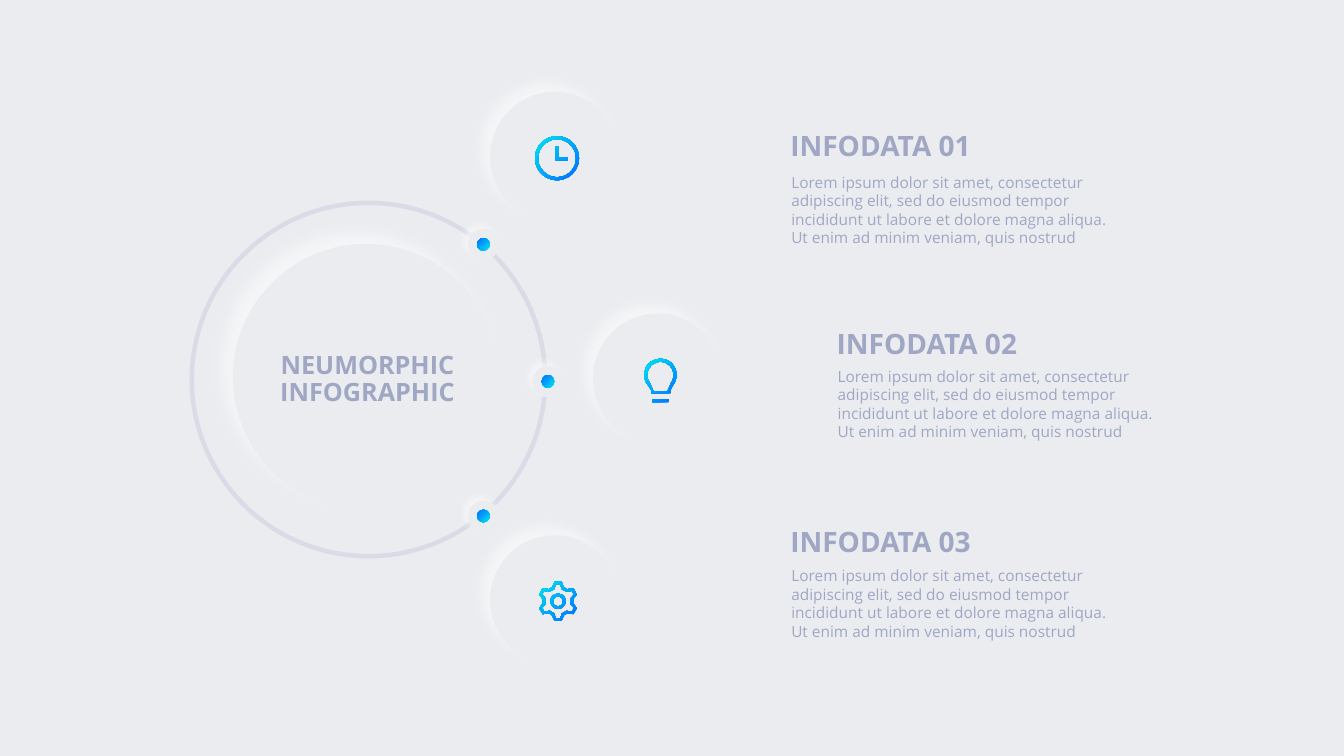
"""Build a soft-relief infographic slide: a hub, three icon nodes and their notes."""
import math

import lxml.etree
import pptx
import pptx.dml.color
import pptx.enum.shapes
import pptx.enum.text
import pptx.oxml.ns
import pptx.util

rgb = pptx.dml.color.RGBColor.from_string
form = pptx.enum.shapes.MSO_SHAPE
anchor = pptx.enum.text.MSO_ANCHOR
align = pptx.enum.text.PP_ALIGN
qn = pptx.oxml.ns.qn

STEP = pptx.util.Inches(0.01)
BASE, RING, INK = "EBECF0", "D9DCE7", "9FA7C4"
CYAN, BLUE = "00E6F2", "006EFF"
HEAD = {"size": pptx.util.Pt(20), "bold": True}
BODY = {"size": pptx.util.Pt(11), "bold": False}
NAME = {"size": pptx.util.Pt(18), "bold": True}
LOREM = ("Lorem ipsum dolor sit amet, consectetur adipiscing elit, sed do eiusmod "
         "tempor incididunt ut labore et dolore magna aliqua. Ut enim ad minim "
         "veniam, quis nostrud")


def arc(x, y, r, start=0, end=360):
    """Return points along a circle, with angles clockwise from the right."""
    turns = [math.radians(start + (end - start) * i / 48) for i in range(49)]
    return [(x + r * math.cos(t), y + r * math.sin(t)) for t in turns]


def write(box, place, text, look, space, frame):
    """Place a text box, fill it and format its text."""
    for key, val in zip(("left", "top", "width", "height"), place):
        setattr(box, key, round(val * STEP))
    for key, val in frame.items():
        setattr(box.text_frame, key, val)
    box.text_frame.text = text
    para = box.text_frame.paragraphs[0]
    para.line_spacing = space
    for run in para.runs:
        for key, val in {"name": "Open Sans", **look}.items():
            setattr(run.font, key, val)
        run.font.color.rgb = rgb(INK)
    return para


deck = pptx.Presentation()
deck.slide_width = pptx.util.Inches(13.33)
deck.slide_height = pptx.util.Inches(7.5)
slide = deck.slides.add_slide(deck.slide_layouts[5])
slide.background.fill.solid()
slide.background.fill.fore_color.rgb = rgb(BASE)
shapes = slide.shapes

nodes = [(550.5, 155.5), (652.5, 375.5), (550.5, 595.5)]
spots = [(479.5, 242.5), (543.5, 378.5), (479.5, 512)]
discs = [(363, 374, 264, BASE, 12, 11), (365.5, 376.5, 355, RING, 0, 0)]
discs += [(x, y, 129, BASE, 9, 9) for x, y in nodes]
discs += [(x, y, 31, BASE, 5, 4) for x, y in spots]
discs += [(x, y, 12.5, None, 0, 0) for x, y in spots]

blends = []
for x, y, size, color, blur, dist in discs:
    kind = form.DONUT if color == RING else form.OVAL
    disc = shapes.add_shape(kind, *(round(v * STEP) for v in
                                    (x - size / 2, y - size / 2, size, size)))
    disc.shadow.inherit = False
    disc.line.fill.background()
    if color:
        disc.fill.solid()
        disc.fill.fore_color.rgb = rgb(color)
    else:
        blends.append((disc, CYAN, BLUE))
    if color == RING:
        disc.adjustments[0] = 0.0125
    if blur:
        glow = lxml.etree.SubElement(
            disc.element.spPr.find(qn("a:effectLst")), qn("a:outerShdw"),
            blurRad=str(pptx.util.Pt(blur)), dist=str(pptx.util.Pt(dist)),
            dir=str(225 * 60000), algn="br", rotWithShape="0")
        tint = lxml.etree.SubElement(glow, qn("a:srgbClr"), val="FFFFFF")
        lxml.etree.SubElement(tint, qn("a:alpha"), val="56000")

clock = [arc(552.5, 157, 21.8), arc(552.5, 157, 18.8),
         [(551, 145), (554, 145), (554, 156), (563, 156), (563, 159), (551, 159)]]
bulb = [arc(655, 372, 16, 147, 393) + [(665, 387), (665, 390), (646, 390), (646, 387)],
        arc(655, 372, 13, 147, 393) + [(662, 388), (648, 388)],
        [(647, 396), (663, 396), (663, 399), (647, 399)]]
gear = [arc(553.5, 596.5, 7.5), arc(553.5, 596.5, 4.9)]
for tip, wide, root, base in ((19.8, 10, 15, 23), (17.2, 7, 12.6, 18)):
    gear.append([arc(553.5, 596.5, r, 60 * k - 90 + a)[0] for k in range(6)
                 for r, a in ((root, -base), (tip, -wide), (tip, wide), (root, base))])

for icon in (clock, bulb, gear):
    loops = [[(x * 10, y * 10) for x, y in loop] for loop in icon]
    pen = shapes.build_freeform(*loops[0][0], scale=STEP / 10)
    for i, loop in enumerate(loops):
        if i:
            pen.move_to(*loop[0])
        pen.add_line_segments(loop[1:], close=True)
    mark = pen.convert_to_shape()
    mark.shadow.inherit = False
    mark.line.fill.background()
    blends.append((mark, BLUE, CYAN))

for item, first, last in blends:
    item.fill.gradient()
    item.fill.gradient_angle = 135
    for stop, color in zip(item.fill.gradient_stops, (first, last)):
        stop.color.rgb = rgb(color)

flush = dict.fromkeys(("margin_left", "margin_right", "margin_top", "margin_bottom"), 0)
title = write(shapes.title, (277, 351, 175, 52), "NEUMORPHIC\vINFOGRAPHIC", NAME,
              pptx.util.Pt(18.7),
              {**flush, "word_wrap": False, "vertical_anchor": anchor.TOP,
               "auto_size": pptx.enum.text.MSO_AUTO_SIZE.NONE})
title.alignment = align.CENTER
front = shapes.title.element
front.getparent().append(front)

notes = [(774, 126, 155), (820, 322.5, 347.5), (774, 519, 545.5)]
for i, (left, top, low) in enumerate(notes, 1):
    write(shapes.add_textbox(0, 0, 0, 0), (left, top, 277, 59), f"INFODATA {i:02}",
          HEAD, 0.9, {"word_wrap": True})
    write(shapes.add_textbox(0, 0, 0, 0), (left + 1, low, 343, 106), LOREM,
          BODY, 1.0, {"word_wrap": True, "vertical_anchor": anchor.MIDDLE})

deck.save("out.pptx")
